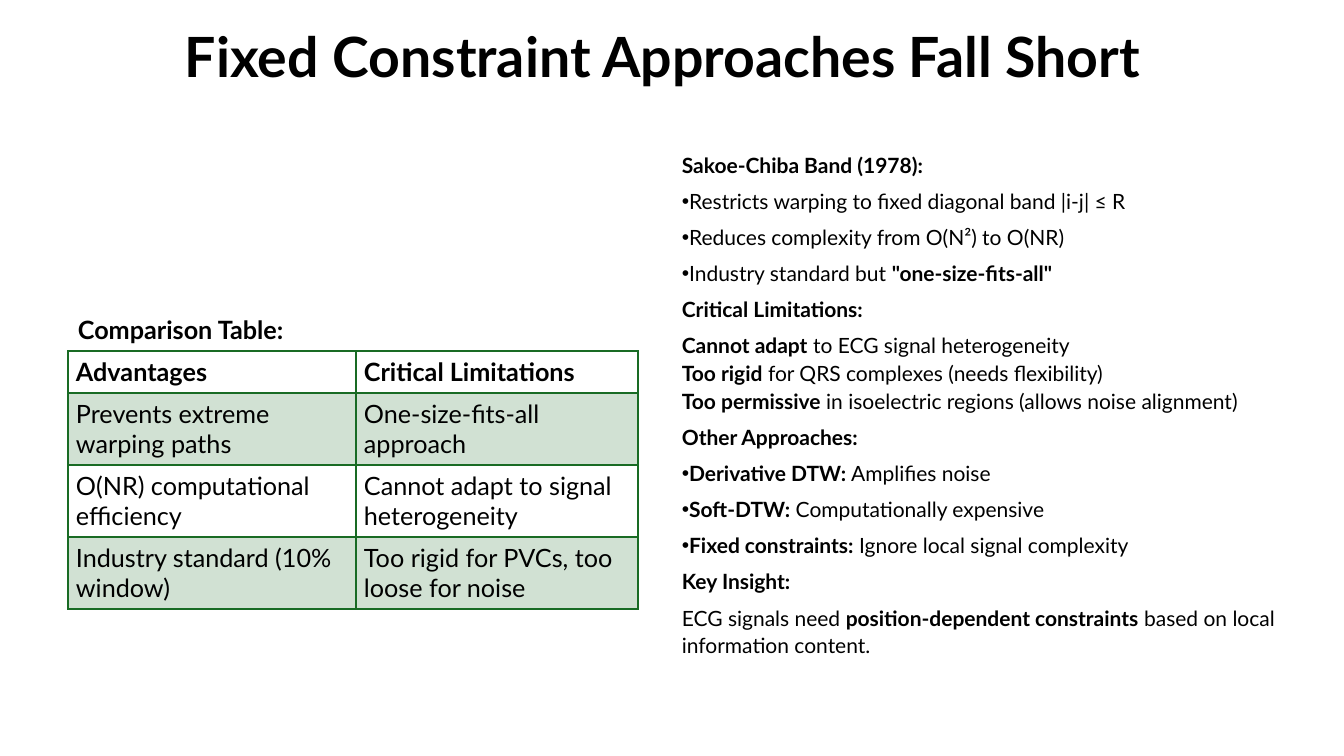
from lxml.etree import SubElement
from pptx import Presentation
from pptx.dml.color import RGBColor
from pptx.enum.text import MSO_ANCHOR, PP_ALIGN
from pptx.oxml.ns import qn
from pptx.util import Emu, Pt

FONT = "Lato"
COLORS = {"text": "000000", "border": "196B24", "band": "D1E1D3"}

TITLE = "Fixed Constraint Approaches Fall Short"
CAPTION = "Comparison Table:"
COMPARISON = [
    ("Advantages", "Critical Limitations"),
    ("Prevents extreme warping paths", "One-size-fits-all approach"),
    ("O(NR) computational efficiency", "Cannot adapt to signal heterogeneity"),
    ("Industry standard (10% window)", "Too rigid for PVCs, too loose for noise"),
]
COLUMN_WIDTHS = (288, 282)
ROW_HEIGHTS = (42, 72, 72, 72)

ARGUMENT = [
    "**Sakoe-Chiba Band (1978):**",
    "•Restricts warping to fixed diagonal band |i-j| ≤ R",
    "•Reduces complexity from O(N²) to O(NR)",
    '•Industry standard but **"one-size-fits-all"**',
    "**Critical Limitations:**",
    "**Cannot adapt** to ECG signal heterogeneity\n"
    "**Too rigid** for QRS complexes (needs flexibility)\n"
    "**Too permissive** in isoelectric regions (allows noise alignment)",
    "**Other Approaches:**",
    "•**Derivative DTW:** Amplifies noise",
    "•**Soft-DTW:** Computationally expensive",
    "•**Fixed constraints:** Ignore local signal complexity",
    "**Key Insight:**",
    "ECG signals need **position-dependent constraints** based on local information content.",
]


def px(length):
    return Emu(round(length * 914400 / 100.8))


def style(paragraph, size, bold=None):
    font = paragraph.font
    font.name = FONT
    font.size = Pt(size)
    font.bold = bold
    font.color.rgb = RGBColor.from_string(COLORS["text"])
    paragraph.alignment = PP_ALIGN.LEFT


def add_frame(slide, box, wrap=True):
    frame = slide.shapes.add_textbox(*map(px, box)).text_frame
    frame.word_wrap = wrap
    return frame


def add_heading(slide, box, text, size, wrap=True, spacing=None):
    frame = add_frame(slide, box, wrap)
    frame.vertical_anchor = MSO_ANCHOR.BOTTOM
    heading = frame.paragraphs[0]
    heading.text = text
    heading.line_spacing = spacing
    style(heading, size, True)


def add_bullet(paragraph):
    properties = paragraph._p.get_or_add_pPr()
    properties.set("marL", "0")
    properties.set("indent", str(-px(25)))
    SubElement(properties, qn("a:buFont"), typeface="Arial")
    SubElement(properties, qn("a:buChar"), char="•")


def add_marked_text(paragraph, text):
    for number, line in enumerate(text.split("\n")):
        if number:
            paragraph.add_line_break()
        for part, words in enumerate(line.split("**")):
            if words:
                run = paragraph.add_run()
                run.text = words
                run.font.bold = part % 2 == 1


def add_argument(slide, box):
    frame = add_frame(slide, box)
    for number, text in enumerate(ARGUMENT):
        point = frame.add_paragraph() if number else frame.paragraphs[0]
        if text.startswith("•"):
            add_bullet(point)
        point.line_spacing = 1.1
        point.space_after = Pt(6)
        style(point, 15)
        add_marked_text(point, text.removeprefix("•"))


def add_borders(cell, widths):
    properties = cell._tc.get_or_add_tcPr()
    for side, width in widths.items():
        line = SubElement(properties, qn(f"a:ln{side}"), w=str(Pt(width)))
        fill = SubElement(line, qn("a:solidFill"))
        SubElement(fill, qn("a:srgbClr"), val=COLORS["border"])


def add_comparison(slide, left, top):
    box = (left, top, sum(COLUMN_WIDTHS), sum(ROW_HEIGHTS))
    table = slide.shapes.add_table(
        len(ROW_HEIGHTS), len(COLUMN_WIDTHS), *map(px, box)).table
    table.first_row = table.horz_banding = False
    for column, width in zip(table.columns, COLUMN_WIDTHS):
        column.width = px(width)
    for r, (row, height) in enumerate(zip(table.rows, ROW_HEIGHTS)):
        row.height = px(height)
        for cell, text in zip(row.cells, COMPARISON[r]):
            cell.text = text
            cell.vertical_anchor = MSO_ANCHOR.MIDDLE
            cell.margin_left = cell.margin_right = px(8)
            cell.margin_top = cell.margin_bottom = px(4)
            style(cell.text_frame.paragraphs[0], 18, r == 0)
            add_borders(cell, {"L": 1, "R": 1, "T": 2 if r == 1 else 1,
                               "B": 2 if r == 0 else 1})
            if r % 2:
                cell.fill.solid()
                cell.fill.fore_color.rgb = RGBColor.from_string(COLORS["band"])
            else:
                cell.fill.background()


def main():
    deck = Presentation()
    deck.slide_width, deck.slide_height = px(1344), px(756)
    slide = deck.slides.add_slide(deck.slide_layouts[6])
    add_heading(slide, (175, 21, 1014, 73), TITLE, 39.6, spacing=0.9)
    add_comparison(slide, 68, 351)
    add_argument(slide, (672, 145, 659, 544))
    add_heading(slide, (68, 309, 253, 41), CAPTION, 18, wrap=False)
    deck.save("out.pptx")


if __name__ == "__main__":
    main()
